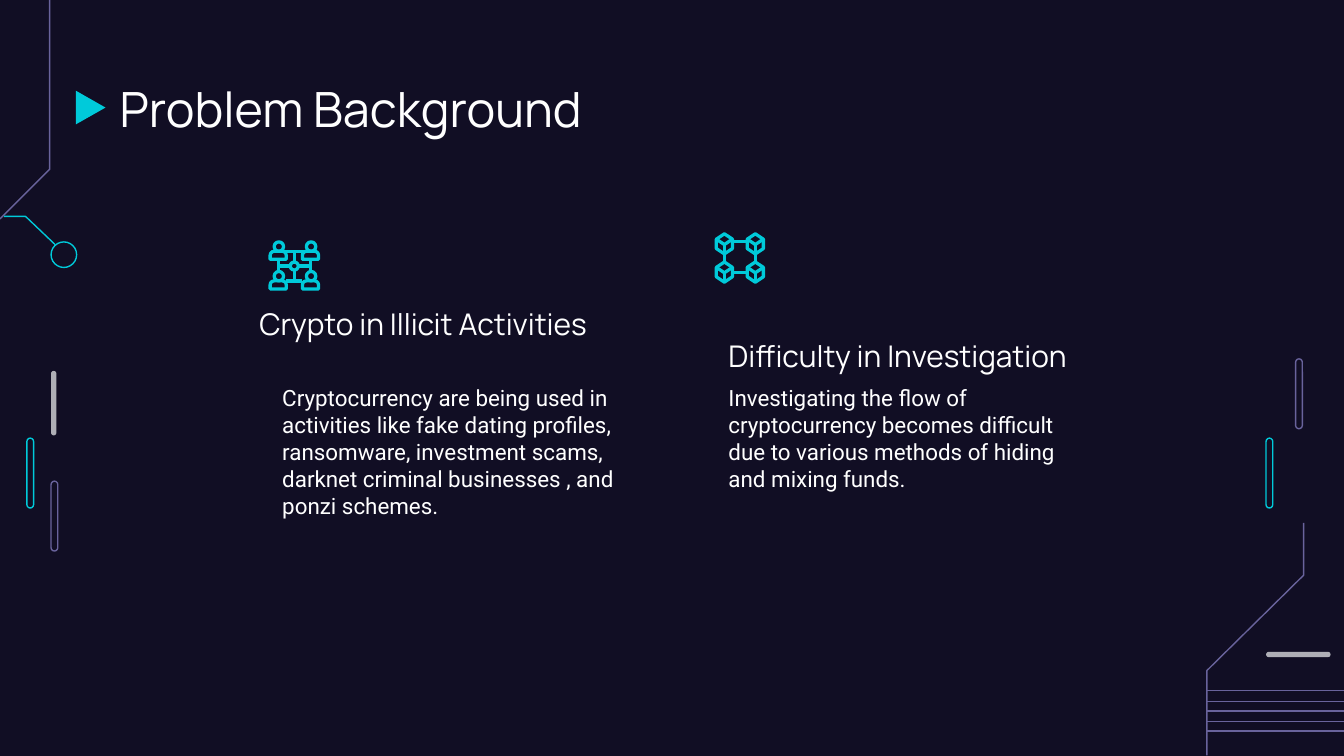
"""Build the Problem Background slide with its circuit decoration and two topics."""
from dataclasses import dataclass

from lxml import etree
from pptx import Presentation
from pptx.dml.color import RGBColor
from pptx.enum import shapes, text
from pptx.oxml import ns
from pptx import util as u

PX = 9144


@dataclass(frozen=True)
class Theme:
    night: RGBColor = RGBColor(0x11, 0x0E, 0x24)
    white: RGBColor = RGBColor(0xFF, 0xFF, 0xFF)
    cyan: RGBColor = RGBColor(0x00, 0xCA, 0xDA)
    violet: RGBColor = RGBColor(0x69, 0x63, 0x9C)
    grey: RGBColor = RGBColor(0xAF, 0xAF, 0xB6)
    display: str = "Manrope"
    reading: str = "Roboto"
    title_size: int = 26
    heading_size: int = 16
    body_size: int = 12
    thin: float = 0.75
    icon: float = 1.75


theme = Theme()
kinds = shapes.MSO_SHAPE
deck = Presentation()
deck.slide_width = 1000 * PX
deck.slide_height = deck.slide_width * 9 // 16
slide = deck.slides.add_slide(deck.slide_layouts.get_by_name("Comparison"))
slide.background.fill.solid()
slide.background.fill.fore_color.rgb = theme.night


def preset(kind, box, line=None, fill=None, weight=theme.thin):
    figure = slide.shapes.add_shape(kind, *(length * PX for length in box))
    figure.shadow.inherit = False
    if fill is None:
        figure.fill.background()
    else:
        figure.fill.solid()
        figure.fill.fore_color.rgb = fill
    if line is None:
        figure.line.fill.background()
    else:
        figure.line.color.rgb = line
        figure.line.width = u.Pt(weight)
    return figure


def trace(strokes, color, weight=theme.thin):
    builder = slide.shapes.build_freeform(*strokes[0][0], scale=PX)
    for stroke in strokes:
        builder.move_to(*stroke[0])
        builder.add_line_segments(stroke[1:], close=False)
    circuit = builder.convert_to_shape()
    circuit.shadow.inherit = False
    circuit.fill.background()
    circuit.line.color.rgb = color
    circuit.line.width = u.Pt(weight)


for box, line, fill in (
    ((942, 326, 5, 52), theme.cyan, None),
    ((964, 267, 5, 52), theme.violet, None),
    ((20, 326, 5, 52), theme.cyan, None),
    ((38, 358, 5, 52), theme.violet, None),
    ((942, 485, 48, 4), None, theme.grey),
    ((38, 276, 4, 48), None, theme.grey),
):
    preset(kinds.ROUNDED_RECTANGLE, box, line, fill).adjustments[0] = 0.5

trace([[(37, 0), (37, 126), (0, 163)]], theme.violet)
trace([[(41, 182), (19, 161), (3, 161)]], theme.cyan)
preset(kinds.OVAL, (38, 180, 19, 19), theme.cyan)
trace([[(970, 389), (970, 428), (898, 499), (898, 562)]], theme.violet)
for y in (514, 522, 529, 537, 544):
    rule = slide.shapes.add_connector(
        shapes.MSO_CONNECTOR.STRAIGHT, 1000 * PX, y * PX, 898 * PX, y * PX)
    rule.line.color.rgb = theme.violet
    rule.line.width = u.Pt(theme.thin)
    etree.SubElement(rule._element.spPr, ns.qn("a:effectLst"))
preset(kinds.FLOWCHART_MERGE, (55, 69, 25, 22), fill=theme.cyan).rotation = 270

copy_blocks = (
    (0, (79, 49, 843, 63), "Problem Background",
     theme.display, theme.title_size, text.MSO_ANCHOR.TOP),
    (1, (183, 211, 308, 53), "Crypto in Illicit Activities",
     theme.display, theme.heading_size, text.MSO_ANCHOR.BOTTOM),
    (2, (200, 276, 286, 161),
     "Cryptocurrency are being used in activities like fake dating profiles, "
     "ransomware, investment scams, darknet criminal businesses , and ponzi schemes.",
     theme.reading, theme.body_size, text.MSO_ANCHOR.TOP),
    (3, (532, 235, 286, 53), "Difficulty in Investigation",
     theme.display, theme.heading_size, text.MSO_ANCHOR.BOTTOM),
    (4, (532, 276, 286, 161),
     "Investigating the flow of cryptocurrency becomes difficult due to various "
     "methods of hiding and mixing funds.",
     theme.reading, theme.body_size, text.MSO_ANCHOR.TOP),
)
holders = {holder.placeholder_format.idx: holder for holder in slide.placeholders}
for idx, box, wording, face, size, anchor in copy_blocks:
    holder = holders[idx]
    holder.left, holder.top, holder.width, holder.height = (n * PX for n in box)
    frame = holder.text_frame
    frame.text = wording
    frame.word_wrap = True
    frame.auto_size = text.MSO_AUTO_SIZE.NONE
    frame.vertical_anchor = anchor
    frame.margin_left = frame.margin_right = 10 * PX
    frame.margin_top = frame.margin_bottom = 10 * PX
    paragraph = frame.paragraphs[0]
    paragraph.alignment = text.PP_ALIGN.LEFT
    paragraph.space_before = 0
    paragraph.font.name = face
    paragraph.font.size = u.Pt(size)
    paragraph.font.bold = False
    paragraph.font.color.rgb = theme.white
    properties = paragraph._p.get_or_add_pPr()
    properties.set("marL", "0")
    properties.set("indent", "0")
    bullet = etree.Element(ns.qn("a:buNone"))
    properties.find(ns.qn("a:spcBef")).addnext(bullet)

for dx in (0, 24):
    for dy in (0, 22):
        preset(kinds.OVAL, (204 + dx, 180 + dy, 7, 7), theme.cyan, weight=theme.icon)
        shoulders = preset(kinds.ROUND_2_SAME_RECTANGLE, (201 + dx, 187 + dy, 12, 6),
                           theme.cyan, weight=theme.icon)
        shoulders.adjustments[0] = 0.5
preset(kinds.OVAL, (216, 195, 6, 6), theme.cyan, weight=theme.icon)
trace([
    [(211, 187), (227, 187)], [(213, 209), (225, 209)],
    [(207, 193), (207, 202)], [(231, 193), (231, 202)],
    [(219, 187), (219, 195)], [(219, 201), (219, 209)],
    [(207, 198), (216, 198)], [(222, 198), (231, 198)],
], theme.cyan, theme.icon)

cubes = [[(545, 180), (556, 180)], [(545, 203), (556, 203)],
         [(539, 189), (539, 195)], [(562, 189), (562, 195)]]
for x in (539, 562):
    for y in (182, 203):
        cubes += [
            [(x, y - 8), (x + 6, y - 4), (x + 6, y + 3), (x, y + 7),
             (x - 6, y + 3), (x - 6, y - 4), (x, y - 8)],
            [(x - 6, y - 4), (x, y), (x + 6, y - 4)],
            [(x, y), (x, y + 7)],
        ]
trace(cubes, theme.cyan, theme.icon)

deck.save("out.pptx")
